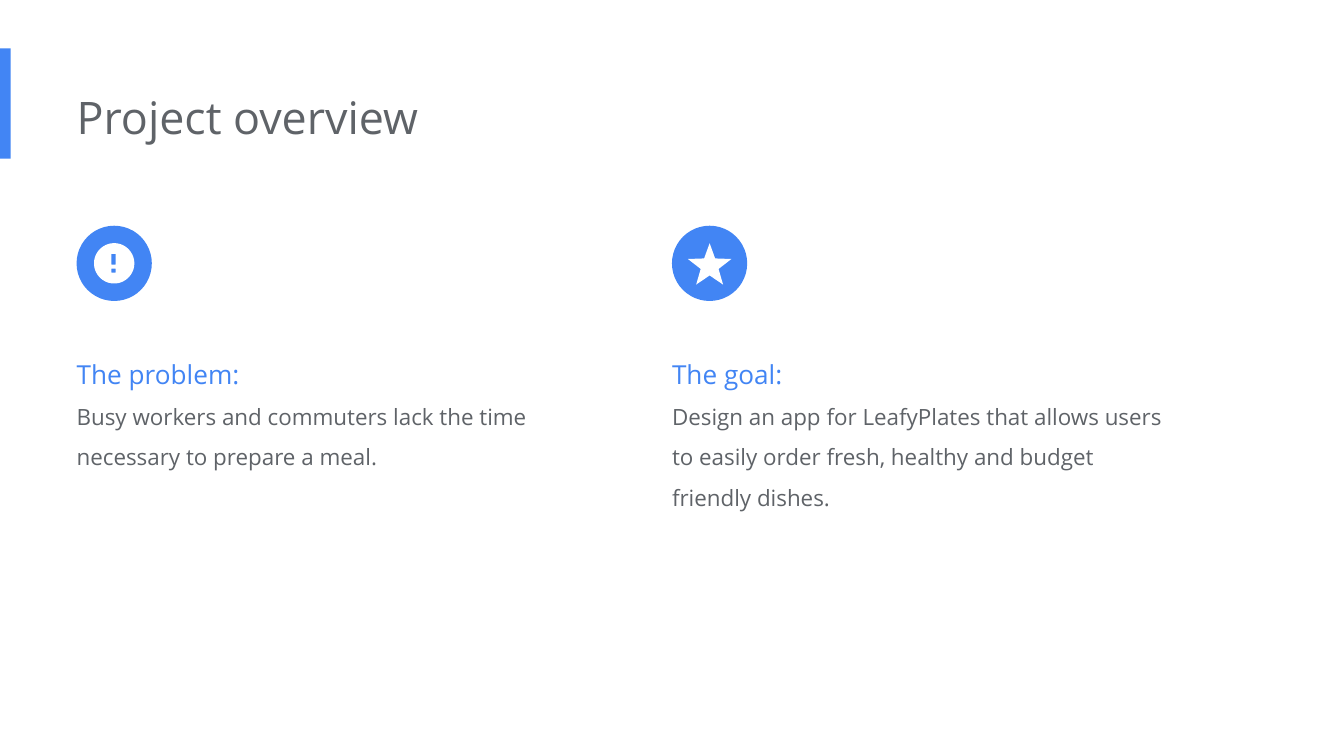
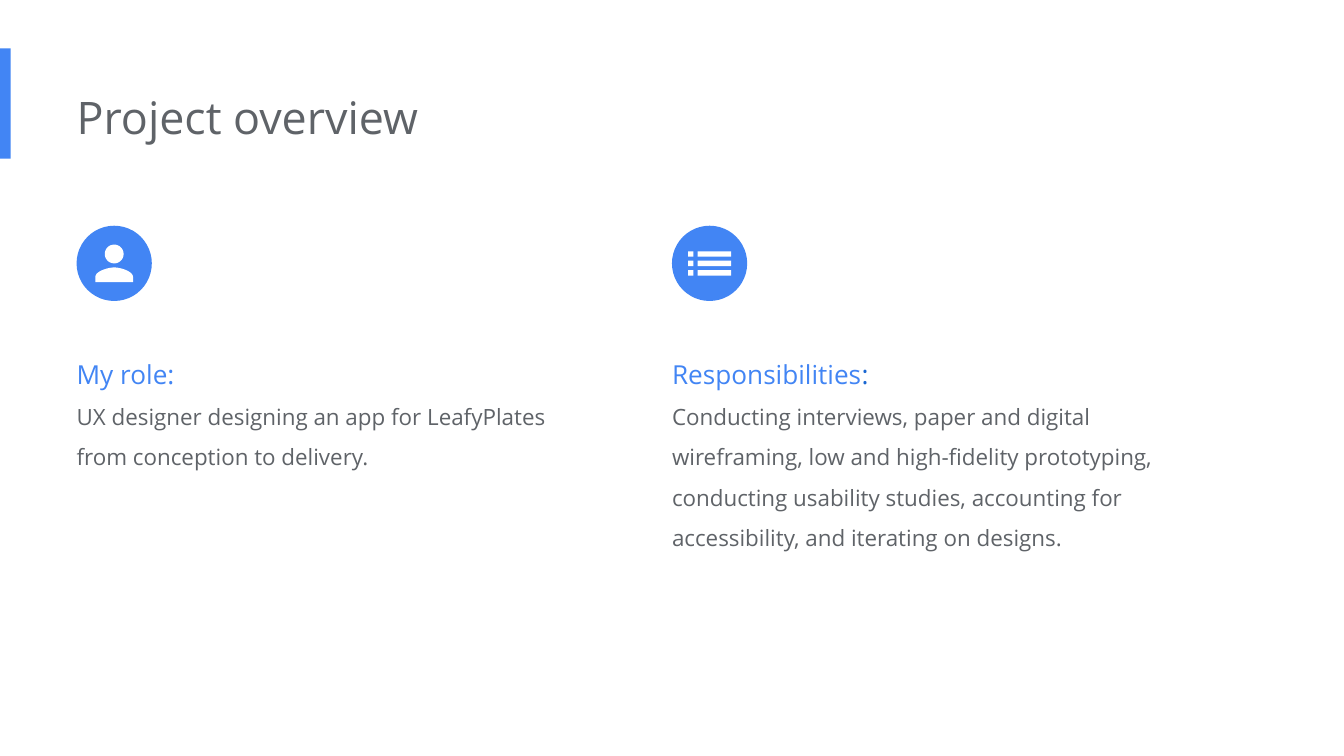
"""Build two project overview slides with paired icon columns."""
import math

import pptx
import pptx.dml.color
import pptx.enum.shapes
import pptx.enum.text
import pptx.oxml.ns
import pptx.util
from lxml import etree

Inches = pptx.util.Inches
Pt = pptx.util.Pt
RGBColor = pptx.dml.color.RGBColor
MSO_SHAPE = pptx.enum.shapes.MSO_SHAPE

BLUE = RGBColor(0x42, 0x85, 0xF4)
DARK_BLUE = RGBColor(0x19, 0x67, 0xD2)
GRAY = RGBColor(0x5F, 0x63, 0x68)
WHITE = RGBColor(0xFF, 0xFF, 0xFF)
FONT = "Open Sans"
COLUMNS = (0.57, 5)
ICON_TOP = 1.68
ICON_SIZE = 0.56


def ring(cx, cy, radii, count):
    points = []
    for i in range(count):
        angle = 2 * math.pi * i / count - math.pi / 2
        radius = radii[i % len(radii)]
        points.append((cx + radius * math.cos(angle), cy + radius * math.sin(angle)))
    return points


def box(left, top, width, height):
    right, bottom = left + width, top + height
    return [(left, top), (right, top), (right, bottom), (left, bottom)]


def curve(p0, p1, p2, p3, steps=16):
    points = []
    for i in range(steps + 1):
        t = i / steps
        weights = ((1 - t) ** 3, 3 * t * (1 - t) ** 2, 3 * t * t * (1 - t), t ** 3)
        points.append(tuple(sum(w * p[axis] for w, p in zip(weights, (p0, p1, p2, p3)))
                            for axis in (0, 1)))
    return points


def shoulders():
    right = curve((0, 0.03), (0.05, 0.03), (0.14, 0.06), (0.14, 0.1)) + [(0.14, 0.14)]
    return right + [(-x, y) for x, y in reversed(right)]


ALERT = [ring(0, 0, (0.15,), 72), box(-0.02, -0.07, 0.03, 0.08), box(-0.02, 0.04, 0.03, 0.03)]
STAR = [ring(0, 0.02, (0.17, 0.07), 10)]
PERSON = [ring(0, -0.07, (0.07,), 48), shoulders()]
LIST = [box(left, -0.09 + 0.07 * row, width, 0.04)
        for row in range(3) for left, width in ((-0.16, 0.04), (-0.09, 0.25))]

SLIDES = [
    [(ALERT, [("The problem:", BLUE)],
      "Busy workers and commuters lack the time necessary to prepare a meal.", 1.06),
     (STAR, [("The goal:", BLUE)],
      "Design an app for LeafyPlates that allows users to easily order fresh, "
      "healthy and budget friendly dishes.", 1.67)],
    [(PERSON, [("My role:", BLUE)],
      "UX designer designing an app for LeafyPlates from conception to delivery.", 1.36),
     (LIST, [("Responsibilities", BLUE), (":", DARK_BLUE)],
      "Conducting interviews, paper and digital wireframing, low and high-fidelity "
      "prototyping, conducting usability studies, accounting for accessibility, "
      "and iterating on designs.", 1.97)],
]


class Deck:
    frame = {
        "margin_left": 0, "margin_top": Inches(0.1), "margin_right": Inches(0.1),
        "margin_bottom": Inches(0.1), "word_wrap": True,
        "vertical_anchor": pptx.enum.text.MSO_ANCHOR.TOP,
        "auto_size": pptx.enum.text.MSO_AUTO_SIZE.SHAPE_TO_FIT_TEXT,
    }
    paragraph = {"alignment": pptx.enum.text.PP_ALIGN.LEFT,
                 "space_before": Pt(0), "space_after": Pt(0)}

    def __init__(self):
        self.prs = pptx.Presentation()
        self.prs.slide_width = Inches(10)
        self.prs.slide_height = Inches(10) * 9 // 16
        self.s = None

    def apply(self, target, values):
        for name, value in values.items():
            setattr(target, name, value)

    def add_slide(self, title):
        self.s = self.prs.slides.add_slide(self.prs.slide_layouts[3])
        self.shape(MSO_SHAPE.RECTANGLE, 0, 0.36, 0.08, 0.82)
        self.text(self.s.shapes.title, (COLUMNS[0], 0.57, 6.73, 0.61),
                  [([(title, GRAY)], 24)], 1)

    def paint(self, sp, color):
        sp.shadow.inherit = False
        sp.fill.solid()
        sp.fill.fore_color.rgb = color
        sp.line.fill.background()

    def shape(self, kind, *at):
        sp = self.s.shapes.add_shape(kind, *map(Inches, at))
        self.paint(sp, BLUE)

    def text(self, sp, at, paragraphs, spacing):
        self.apply(sp, dict(zip(("left", "top", "width", "height"), map(Inches, at))))
        tf = sp.text_frame
        self.apply(tf, self.frame)
        for i, (runs, size) in enumerate(paragraphs):
            p = tf.add_paragraph() if i else tf.paragraphs[0]
            pPr = p._p.get_or_add_pPr()
            pPr.set("marL", "0")
            pPr.set("indent", "0")
            etree.SubElement(pPr, pptx.oxml.ns.qn("a:buNone"))
            self.apply(p, {**self.paragraph, "line_spacing": spacing})
            for words, color in runs:
                r = p.add_run()
                r.text = words
                self.apply(r.font, {"name": FONT, "size": Pt(size), "bold": False})
                r.font.color.rgb = color

    def icon(self, left, outlines):
        self.shape(MSO_SHAPE.OVAL, left, ICON_TOP, ICON_SIZE, ICON_SIZE)
        cx, cy = left + ICON_SIZE / 2, ICON_TOP + ICON_SIZE / 2
        builder = None
        for outline in outlines:
            first, *rest = [(Inches(cx + x), Inches(cy + y)) for x, y in outline]
            if builder is None:
                builder = self.s.shapes.build_freeform(*first, scale=1.0)
            else:
                builder.move_to(*first)
            builder.add_line_segments(rest, close=True)
        self.paint(builder.convert_to_shape(), WHITE)

    def column(self, index, outlines, heading, body, height):
        left = COLUMNS[index]
        self.text(self.s.placeholders[index + 1], (left, 2.45, 3.77, height),
                  [(heading, 14), ([(body, GRAY)], 12)], 1.5)
        self.icon(left, outlines)


def main():
    deck = Deck()
    for columns in SLIDES:
        deck.add_slide("Project overview")
        for index, column in enumerate(columns):
            deck.column(index, *column)
    deck.prs.save("out.pptx")


if __name__ == "__main__":
    main()
